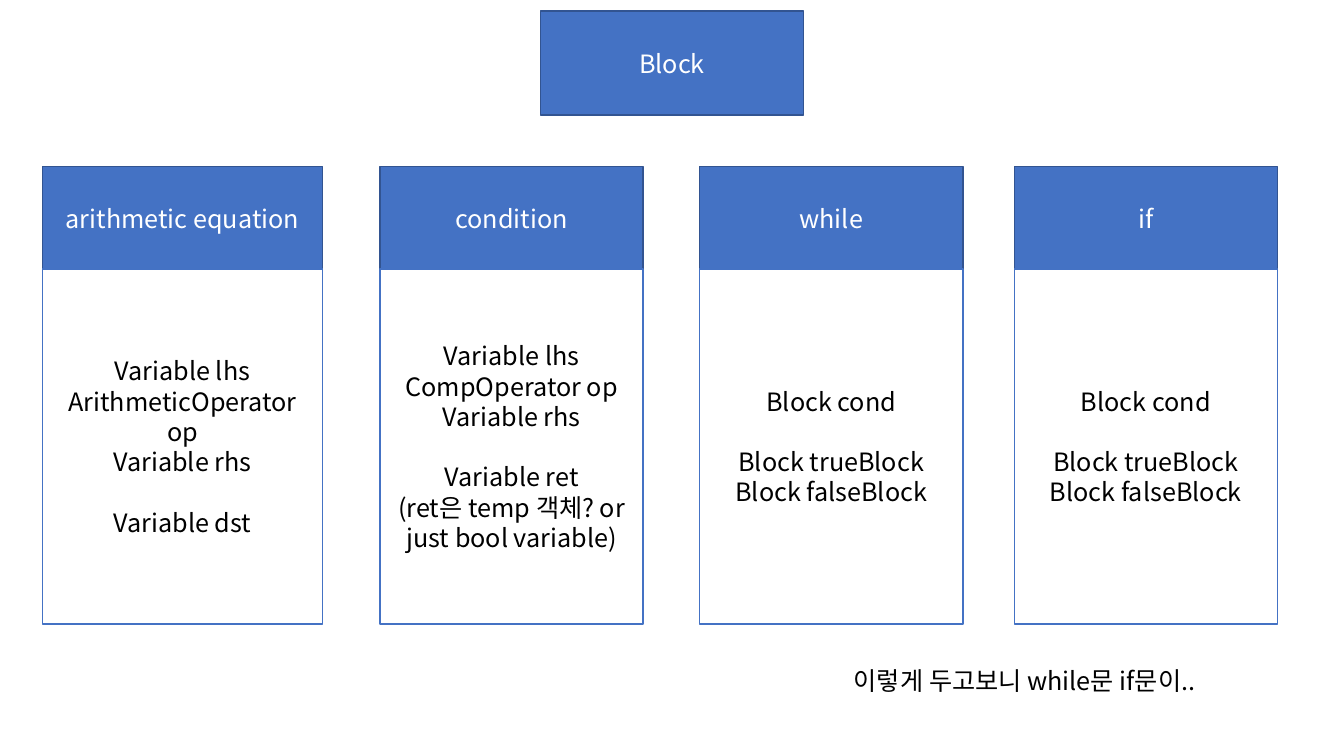
from dataclasses import dataclass

from lxml import etree
from pptx import Presentation
from pptx.dml.color import RGBColor
from pptx.enum.shapes import MSO_SHAPE
from pptx.enum.text import MSO_ANCHOR, MSO_AUTO_SIZE, PP_ALIGN
from pptx.oxml.ns import qn
from pptx.util import Inches, Pt

RECTANGLE = MSO_SHAPE.RECTANGLE
MIDDLE = MSO_ANCHOR.MIDDLE
CENTER, LEFT = PP_ALIGN.CENTER, PP_ALIGN.LEFT
FIXED, GROW = MSO_AUTO_SIZE.NONE, MSO_AUTO_SIZE.SHAPE_TO_FIT_TEXT
TITLE_ONLY = 5
SLIDE_WIDTH, SLIDE_HEIGHT = Inches(13.33), Inches(7.5)


@dataclass(frozen=True)
class Theme:
    font: str = "Noto Sans CJK KR"
    size: Pt = Pt(18)
    group_gap: Pt = Pt(21.6)
    outline: Pt = Pt(1)
    blue: RGBColor = RGBColor(0x44, 0x72, 0xC4)
    dark_blue: RGBColor = RGBColor(0x32, 0x54, 0x91)
    white: RGBColor = RGBColor(0xFF, 0xFF, 0xFF)
    black: RGBColor = RGBColor(0, 0, 0)


@dataclass(frozen=True)
class Area:
    """A rectangle in percent of the slide's width and height."""
    left: float
    top: float
    width: float
    height: float

    def box(self) -> tuple[int, int, int, int]:
        return (int(SLIDE_WIDTH * self.left / 100), int(SLIDE_HEIGHT * self.top / 100),
                int(SLIDE_WIDTH * self.width / 100), int(SLIDE_HEIGHT * self.height / 100))


@dataclass(frozen=True)
class BlockKind:
    name: str
    left: float
    width: float
    member_groups: list[list[str]]


THEME = Theme()
CARD_WIDTH = 19.58
HEADER_HEIGHT = 13.73
HEADER_TOP = 22
MEMBERS_TOP, MEMBERS_HEIGHT = 35.6, 46.93

BRANCH_MEMBERS = [["Block cond"], ["Block trueBlock", "Block falseBlock"]]
BLOCK_KINDS = [
    BlockKind("arithmetic equation", 3.15, 20.86, [
        ["Variable lhs", "ArithmeticOperator op", "Variable rhs"],
        ["Variable dst"]]),
    BlockKind("condition", 28.28, CARD_WIDTH, [
        ["Variable lhs", "CompOperator op", "Variable rhs"],
        ["Variable ret", "(ret은 temp 객체? or just bool variable)"]]),
    BlockKind("while", 52.06, CARD_WIDTH, BRANCH_MEMBERS),
    BlockKind("if", 75.47, CARD_WIDTH, BRANCH_MEMBERS),
]


def write(frame, groups: list[list[str]], color: RGBColor, align=CENTER) -> None:
    """Write one paragraph a line, with a gap before each later group."""
    frame.word_wrap = True
    lines = [(line, group_no > 0 and line_no == 0)
             for group_no, group in enumerate(groups)
             for line_no, line in enumerate(group)]
    for number, (line, opens_group) in enumerate(lines):
        paragraph = frame.add_paragraph() if number else frame.paragraphs[0]
        paragraph.text = line
        paragraph.alignment = align
        if opens_group:
            paragraph.space_before = THEME.group_gap
        font = paragraph.font
        font.size, font.name = THEME.size, THEME.font
        font.color.rgb = color
        # Hangul takes the East Asian typeface
        latin = font._element.find(qn("a:latin"))
        east_asian = etree.Element(qn("a:ea"), typeface=THEME.font)
        latin.addnext(east_asian)


def style_box(shape, groups: list[list[str]], fill: RGBColor,
              line: RGBColor, text: RGBColor) -> None:
    shape.shadow.inherit = False
    shape.fill.solid()
    shape.fill.fore_color.rgb = fill
    shape.line.color.rgb = line
    shape.line.width = THEME.outline
    shape.text_frame.auto_size = FIXED
    shape.text_frame.vertical_anchor = MIDDLE
    write(shape.text_frame, groups, text)


def style_header(shape, name: str) -> None:
    style_box(shape, [[name]], THEME.blue, THEME.dark_blue, THEME.white)


def add_rectangle(slide, area: Area):
    return slide.shapes.add_shape(RECTANGLE, *area.box())


def add_block_kind(slide, kind: BlockKind) -> None:
    header = add_rectangle(slide, Area(kind.left, HEADER_TOP, kind.width, HEADER_HEIGHT))
    style_header(header, kind.name)
    members = add_rectangle(slide, Area(kind.left, MEMBERS_TOP, kind.width, MEMBERS_HEIGHT))
    style_box(members, kind.member_groups, THEME.white, THEME.blue, THEME.black)


def main() -> None:
    deck = Presentation()
    deck.slide_width, deck.slide_height = SLIDE_WIDTH, SLIDE_HEIGHT
    slide = deck.slides.add_slide(deck.slide_layouts[TITLE_ONLY])

    # Base class, centred at the top
    base = slide.shapes.title
    base_area = Area((100 - CARD_WIDTH) / 2, 1.47, CARD_WIDTH, HEADER_HEIGHT)
    base.left, base.top, base.width, base.height = base_area.box()
    style_header(base, "Block")

    # Kinds of block with their members
    for kind in BLOCK_KINDS:
        add_block_kind(slide, kind)

    # Closing remark
    remark = slide.shapes.add_textbox(*Area(62.79, 87.33, 28.66, 5.33).box())
    remark.text_frame.auto_size = GROW
    write(remark.text_frame, [["이렇게 두고보니 while문 if문이.."]], THEME.black, LEFT)

    deck.save("out.pptx")


if __name__ == "__main__":
    main()
